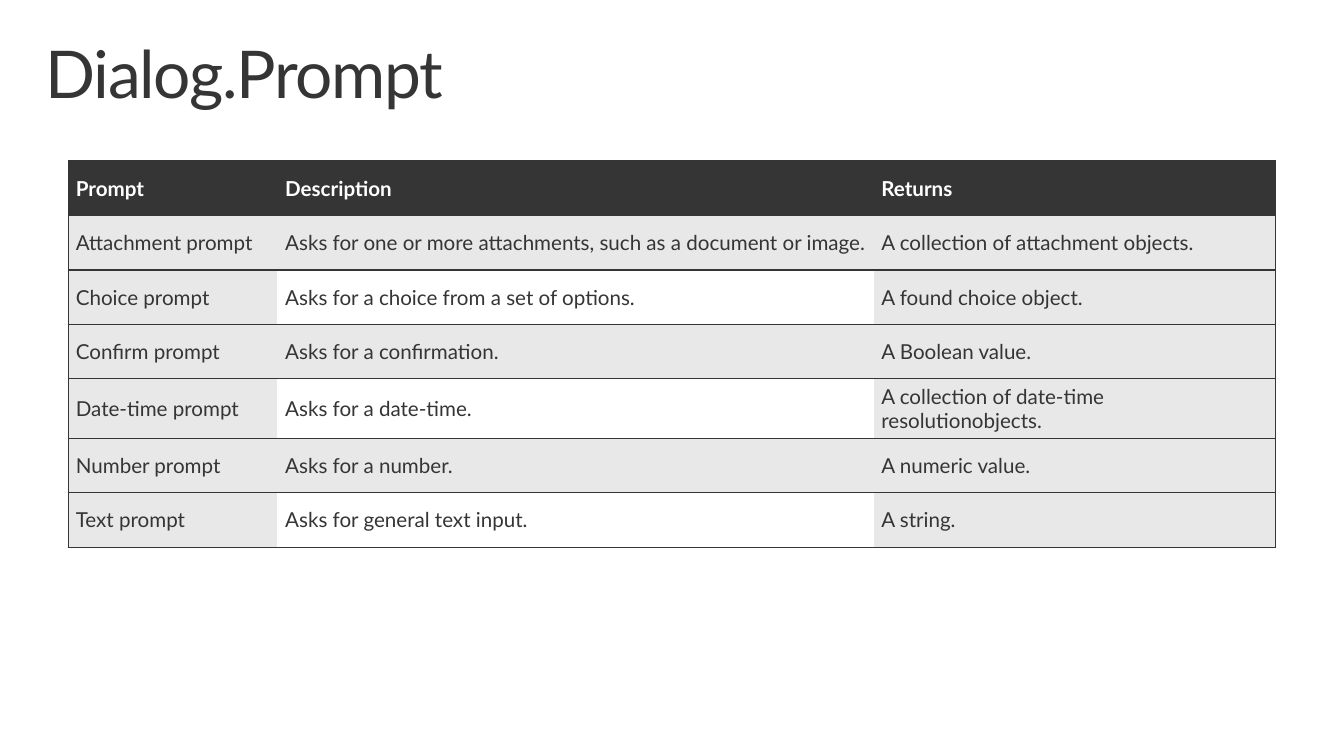
from dataclasses import dataclass

from lxml import etree
from pptx import Presentation
from pptx import util as u
from pptx.dml.color import RGBColor
from pptx.enum import text
from pptx.oxml import ns

CHARCOAL = RGBColor(0x35, 0x35, 0x35)
GREY = RGBColor(0xE8, 0xE8, 0xE8)
WHITE = RGBColor(0xFF, 0xFF, 0xFF)
FONT = "Lato"
ROW_HEIGHT = u.Cm(1.4)
COLUMN_WIDTHS = [u.Cm(5.38), u.Cm(15.32), u.Cm(10.34)]
CELL_FORMAT = {
    "vertical_anchor": text.MSO_ANCHOR.MIDDLE,
    "margin_left": u.Cm(0.2),
    "margin_right": u.Cm(0.2),
    "margin_top": u.Cm(0.13),
    "margin_bottom": u.Cm(0.13),
}
TITLE_PLACE = {
    "left": u.Cm(0.76),
    "top": u.Cm(0.81),
    "width": u.Cm(33.02),
    "height": u.Cm(2.54),
}
TITLE_FRAME = {
    "vertical_anchor": text.MSO_ANCHOR.TOP,
    "auto_size": text.MSO_AUTO_SIZE.NONE,
    "word_wrap": True,
    "margin_left": u.Cm(0.41),
    "margin_right": u.Cm(0.41),
    "margin_top": u.Cm(0.25),
    "margin_bottom": u.Cm(0.25),
}


@dataclass(frozen=True)
class PromptRow:
    prompt: str
    description: str
    returns: str


HEADER = PromptRow("Prompt", "Description", "Returns")
PROMPTS = [
    PromptRow(
        "Attachment prompt",
        "Asks for one or more attachments, such as a document or image.",
        "A collection of attachment objects.",
    ),
    PromptRow(
        "Choice prompt",
        "Asks for a choice from a set of options.",
        "A found choice object.",
    ),
    PromptRow("Confirm prompt", "Asks for a confirmation.", "A Boolean value."),
    PromptRow(
        "Date-time prompt",
        "Asks for a date-time.",
        "A collection of date-time resolutionobjects.",
    ),
    PromptRow("Number prompt", "Asks for a number.", "A numeric value."),
    PromptRow("Text prompt", "Asks for general text input.", "A string."),
]


def apply(target: object, values: dict) -> None:
    for name, value in values.items():
        setattr(target, name, value)


def style_font(font, size: int, color: RGBColor, bold: bool = False) -> None:
    apply(font, {"name": FONT, "size": u.Pt(size), "bold": bold})
    font.color.rgb = color


def set_borders(cell, visible_sides: str) -> None:
    properties = cell._tc.get_or_add_tcPr()
    for side in "LRTB":
        line = etree.SubElement(properties, ns.qn(f"a:ln{side}"), w=str(u.Pt(1)))
        if side in visible_sides:
            fill = etree.SubElement(line, ns.qn("a:solidFill"))
            etree.SubElement(fill, ns.qn("a:srgbClr"), val=str(CHARCOAL))
        else:
            etree.SubElement(line, ns.qn("a:noFill"))


def cell_fill(row: int, column: int) -> RGBColor:
    if row == 0:
        return CHARCOAL
    return WHITE if column == 1 and row % 2 == 0 else GREY


def add_title(slide, wording: str) -> None:
    title = slide.shapes.title
    apply(title, TITLE_PLACE)
    apply(title.text_frame, TITLE_FRAME)
    paragraph = title.text_frame.paragraphs[0]
    apply(paragraph, {"alignment": text.PP_ALIGN.LEFT, "line_spacing": 0.9})
    run = paragraph.add_run()
    run.text = wording
    style_font(run.font, 48, CHARCOAL)
    run._r.get_or_add_rPr().set("spc", "-100")


def add_prompt_table(slide, rows: list[PromptRow]) -> None:
    table = slide.shapes.add_table(
        len(rows), len(COLUMN_WIDTHS), u.Cm(1.75), u.Cm(4.14),
        sum(COLUMN_WIDTHS), ROW_HEIGHT * len(rows),
    ).table
    apply(table, {"first_row": True, "horz_banding": False})
    for column, width in zip(table.columns, COLUMN_WIDTHS):
        column.width = width
    side_borders = ["LTB", "TB", "RTB"]
    for row_index, row in enumerate(rows):
        table.rows[row_index].height = ROW_HEIGHT
        is_header = row_index == 0
        wordings = (row.prompt, row.description, row.returns)
        for column_index, wording in enumerate(wordings):
            cell = table.cell(row_index, column_index)
            apply(cell, CELL_FORMAT)
            set_borders(cell, side_borders[column_index])
            cell.fill.solid()
            cell.fill.fore_color.rgb = cell_fill(row_index, column_index)
            run = cell.text_frame.paragraphs[0].add_run()
            run.text = wording
            style_font(run.font, 15, WHITE if is_header else CHARCOAL, is_header)


def main() -> None:
    presentation = Presentation()
    apply(presentation, {"slide_width": u.Cm(34.54), "slide_height": u.Cm(19.43)})
    slide = presentation.slides.add_slide(presentation.slide_layouts[5])
    add_title(slide, "Dialog.Prompt")
    add_prompt_table(slide, [HEADER, *PROMPTS])
    presentation.save("out.pptx")


if __name__ == "__main__":
    main()
